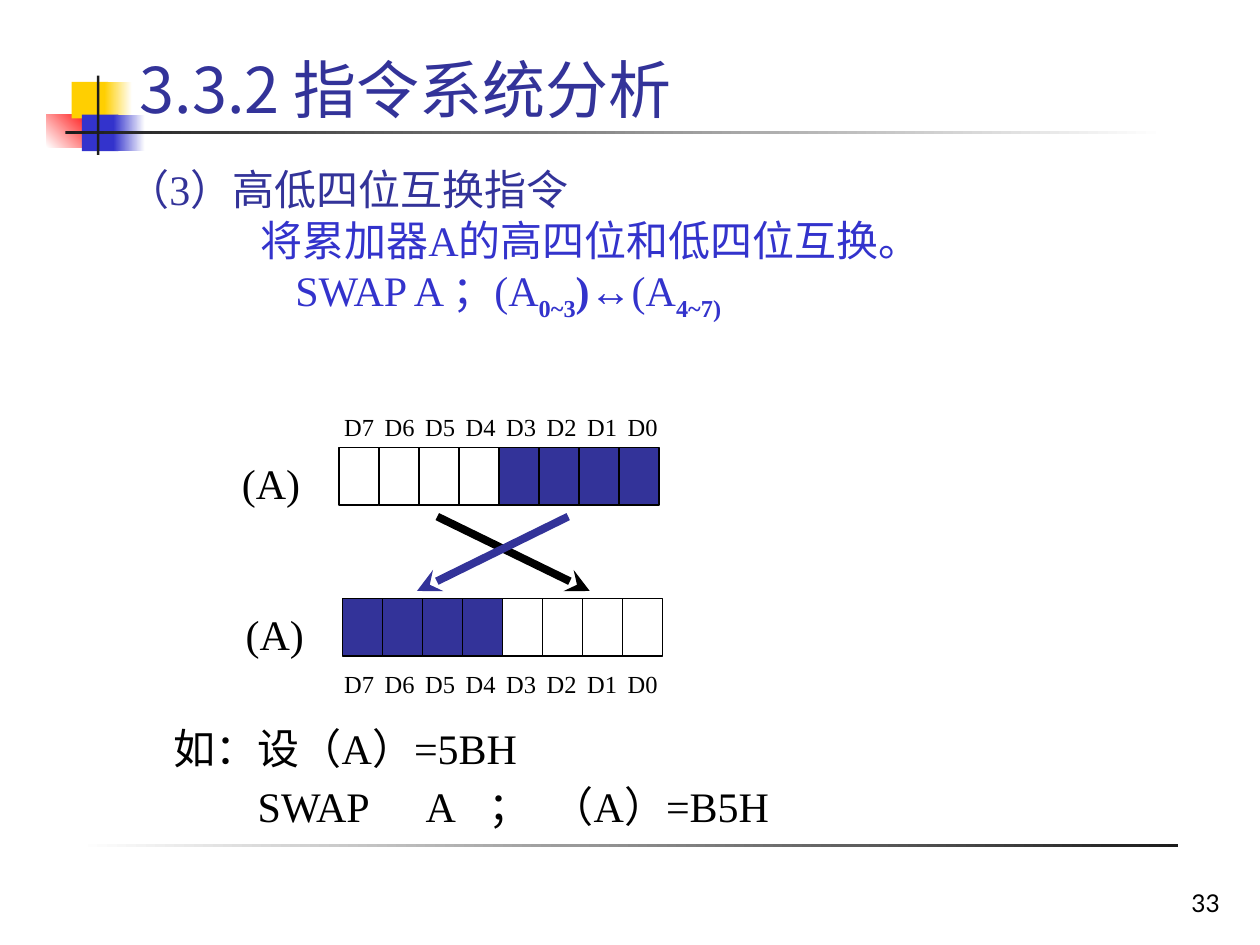
import pptx
import pptx.util
import pptx.dml.color
import pptx.enum.dml
import pptx.enum.shapes
import pptx.enum.text
import pptx.oxml.ns
from lxml import etree

Pt = pptx.util.Pt
RECT = pptx.enum.shapes.MSO_SHAPE.RECTANGLE
ALIGN = pptx.enum.text.PP_ALIGN
ANCHOR = pptx.enum.text.MSO_ANCHOR
NAVY, BLUE, BLACK, DARK, WHITE = "333399", "3333CC", "000000", "1C1C1C", "FFFFFF"
SERIF, CJK = "Times New Roman", "Noto Sans CJK JP"
CELL_W, CELL_H = 22.86, 33


def rgb(value):
    return pptx.dml.color.RGBColor.from_string(value)


def sub(parent, tag, **attrs):
    return etree.SubElement(parent, pptx.oxml.ns.qn(tag), **attrs)


def add_text(p, text, size=24, color=BLACK, font=SERIF, bold=False, baseline=None):
    r = p.add_run()
    r.text = text
    r.font.size, r.font.name, r.font.bold = Pt(size), font, bold
    r.font.color.rgb = rgb(color)
    rPr = r._r.get_or_add_rPr()
    sub(rPr, "a:ea", typeface=CJK)
    if baseline:
        rPr.set("baseline", str(baseline * 1000))
    return r


def format_paragraph(p, indent=0, tabs=(), before=0, spacing=None):
    """Set the first-line indent, tab stops and spacing, without a bullet."""
    pPr = p._p.get_or_add_pPr()
    pPr.set("marL", "0")
    pPr.set("indent", str(int(Pt(indent))))
    sub(pPr, "a:buNone")
    if tabs:
        tab_list = sub(pPr, "a:tabLst")
        for pos in tabs:
            sub(tab_list, "a:tab", pos=str(int(Pt(pos))), algn="l")
    p.space_before = Pt(before)
    if spacing:
        p.line_spacing = spacing


def place(sp, x, y, w, h):
    sp.left, sp.top, sp.width, sp.height = Pt(x), Pt(y), Pt(w), Pt(h)
    sp.element.getparent().append(sp.element)  # bring to front


def add_box(s, x, y, w, h, fill=None, fade=None, angle=0, line=None):
    sp = s.shapes.add_shape(RECT, Pt(x), Pt(y), Pt(w), Pt(h))
    sp.shadow.inherit = False
    if fade:
        sp.fill.gradient()
        sp.fill.gradient_angle = angle
        for stop, color in zip(sp.fill.gradient_stops, (fill, fade)):
            stop.color.rgb = rgb(color)
    elif fill:
        sp.fill.solid()
        sp.fill.fore_color.rgb = rgb(fill)
    else:
        sp.fill.background()
    if line:
        sp.line.color.rgb = rgb(line)
        sp.line.width = Pt(0.75)
    else:
        sp.line.fill.background()
    return sp


def add_label(s, text, x, y, w, h, align=ALIGN.CENTER, **fmt):
    tf = s.shapes.add_textbox(Pt(x), Pt(y), Pt(w), Pt(h)).text_frame
    tf.word_wrap = False
    p = tf.paragraphs[0]
    p.alignment = align
    add_text(p, text, **fmt)
    return tf


def add_arrow(s, x1, y1, x2, y2, color):
    line = s.shapes.add_connector(pptx.enum.shapes.MSO_CONNECTOR.STRAIGHT,
                                  Pt(x1), Pt(y1), Pt(x2), Pt(y2))
    line.line.color.rgb = rgb(color)
    line.line.width = Pt(4.5)
    sub(line.line._get_or_add_ln(), "a:tailEnd", type="stealth")
    sub(line._element.spPr, "a:effectLst")


def add_decoration(s, x, y):
    # Coloured squares
    add_box(s, x, y + 18.6, 27.4, 18.7, WHITE, "FF0000", 45)
    for dx, dy, color, fade_dx, fade_w in ((14.4, 0, "FFCF01", 33.1, 15.8),
                                          (20.2, 18.7, BLUE, 38.2, 18)):
        add_box(s, x + dx, y + dy, 20.9, 20.9, color)
        add_box(s, x + fade_dx, y + dy, fade_w, 20.9, color, WHITE)
    # Rules
    add_box(s, x + 10.8, y + 28.1, 628.6, 1.5, DARK, WHITE)
    add_box(s, x + 28.8, y - 3.6, 1.4, 45.4, DARK)
    add_box(s, x + 18, y + 435.6, 628.6, 1.4, WHITE, DARK)


def add_title(s, x, y, w, h):
    sp = s.shapes.title
    place(sp, x, y, w, h)
    tf = sp.text_frame
    tf.vertical_anchor = ANCHOR.MIDDLE
    p = tf.paragraphs[0]
    p.alignment = ALIGN.LEFT
    add_text(p, "3.3.2 指令系统分析", size=36, color=NAVY, font=CJK)


def add_body(s, x, y, w, h):
    sp = s.placeholders[1]
    place(sp, x, y, w, h)
    tf = sp.text_frame
    tf.auto_size = pptx.enum.text.MSO_AUTO_SIZE.NONE
    tf.margin_top = 0
    sub_bold = dict(bold=True, baseline=-25)
    lines = (
        (0, NAVY, [("（3）高低四位互换指令", {})]),
        (76, BLUE, [("将累加器A的高四位和低四位互换。", {})]),
        (96, BLUE, [("SWAP A ；(A", {}), ("0~3", sub_bold), (")", dict(bold=True)),
                    ("↔", dict(font="Arial")), ("(A", {}), ("4~7)", sub_bold)]),
    )
    for i, (indent, color, runs) in enumerate(lines):
        p = tf.add_paragraph() if i else tf.paragraphs[0]
        format_paragraph(p, indent)
        for text, fmt in runs:
            add_text(p, text, color=color, **fmt)


def add_register(s, x, y, filled, label_y):
    """Draw eight bit cells with the register name on the left."""
    for i in range(8):
        add_box(s, x + i * CELL_W, y, CELL_W, CELL_H,
                NAVY if i in filled else None, line=BLACK)
        add_label(s, f"D{7 - i}", 189.4 + i * 23.14, label_y, 31.7, 24.5, size=14)
    add_label(s, "(A)", x - 62.6, y + 2.2, 47.5, 36)


def add_swap_diagram(s, x, y):
    add_register(s, x, y, range(4, 8), y - 23.8)
    add_register(s, x + 2.2, y + 86.4, range(4), y + 123.1)
    add_arrow(s, x + 56.2, y + 39.6, x + 143.3, y + 82.1, BLACK)
    add_arrow(s, x + 131, y + 39.6, x + 44.6, y + 82.1, NAVY)


def add_example(s, x, y, w, h):
    tf = s.shapes.add_textbox(Pt(x), Pt(y), Pt(w), Pt(h)).text_frame
    tf.word_wrap = True
    p = tf.paragraphs[0]
    format_paragraph(p, spacing=0.8)
    add_text(p, "如：设（A）=5BH")
    p = tf.add_paragraph()
    format_paragraph(p, 48, (134, 198, 240), before=10.5, spacing=0.8)
    add_text(p, "SWAP\tA\t；\t（A）=B5H")


def main():
    prs = pptx.Presentation()
    prs.slide_width, prs.slide_height = Pt(720), Pt(540)
    s = prs.slides.add_slide(prs.slide_layouts[1])
    add_decoration(s, 26.6, 46.8)
    add_title(s, 72.7, 20.2, 599, 60.5)
    add_body(s, 65.5, 93.6, 606.2, 400.3)
    add_swap_diagram(s, 193.7, 255.6)
    add_example(s, 92.2, 414.7, 530.6, 68.4)
    # Slide number
    tf = add_label(s, "33", 554.4, 491.8, 149.8, 36, align=ALIGN.RIGHT, size=14, font="Lato")
    tf.word_wrap = True
    tf.vertical_anchor = ANCHOR.BOTTOM
    prs.save("out.pptx")


if __name__ == "__main__":
    main()
